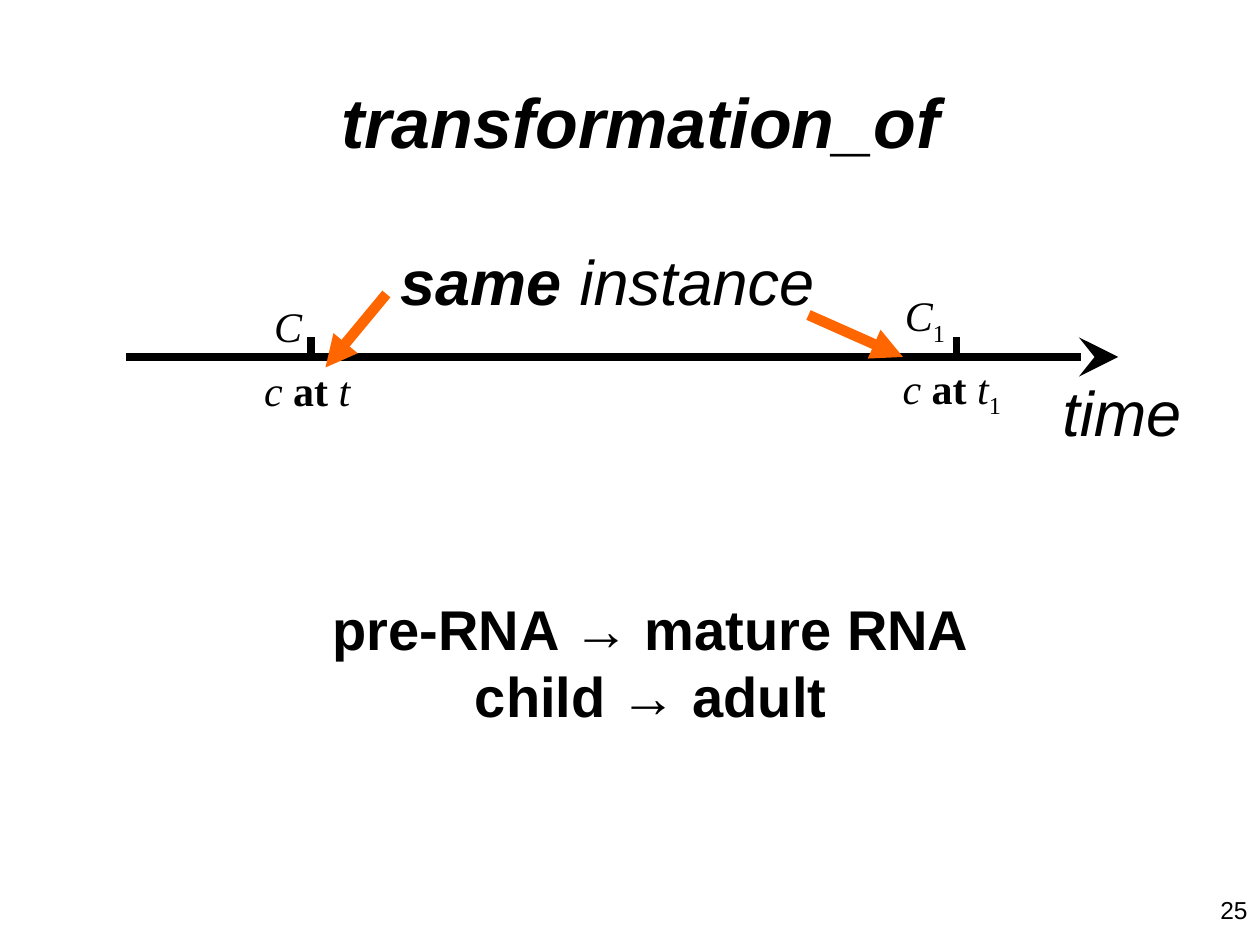
from lxml.etree import SubElement
from pptx import Presentation
from pptx.dml.color import RGBColor
from pptx.enum.shapes import MSO_CONNECTOR
from pptx.enum.text import MSO_ANCHOR, PP_ALIGN
from pptx.oxml.ns import qn
from pptx.util import Inches, Pt

BLACK = RGBColor(0x00, 0x00, 0x00)
ORANGE = RGBColor(0xFF, 0x66, 0x00)
SANS = "Arial"
SERIF = "Times New Roman"
COLUMNS, ROWS = 120, 90
AXIS_ROW = 34


def grid(cells):
    return Inches(cells / 12)


def add_text(page, place, paragraphs, font=SANS, size=24, align=PP_ALIGN.LEFT,
             anchor=MSO_ANCHOR.TOP, inset=(0.1, 0.05), after=0, first_indent=0):
    box = page.shapes.add_textbox(*map(grid, place))
    frame = box.text_frame
    frame.word_wrap = True
    frame.vertical_anchor = anchor
    frame.margin_left = frame.margin_right = Inches(inset[0])
    frame.margin_top = frame.margin_bottom = Inches(inset[1])
    for index, spans in enumerate(paragraphs):
        para = frame.add_paragraph() if index else frame.paragraphs[0]
        para.alignment = align
        para.space_after = Pt(after)
        if index == 0 and first_indent:
            para._p.get_or_add_pPr().set("indent", str(Inches(first_indent)))
        for text, style in spans:
            if text == "\n":
                para.add_line_break()
                continue
            span = para.add_run()
            span.text = text
            span.font.name = font
            span.font.size = Pt(size)
            span.font.color.rgb = BLACK
            span.font.bold = "b" in style
            span.font.italic = "i" in style
            if "s" in style:
                span.font._element.set("baseline", "-25000")
    return box


def add_line(page, start, end, color=BLACK, width=4.5, arrow=None, arrow_size="med"):
    line = page.shapes.add_connector(
        MSO_CONNECTOR.STRAIGHT, *map(grid, start), *map(grid, end))
    line.line.color.rgb = color
    line.line.width = Pt(width)
    if arrow:
        SubElement(line.line._get_or_add_ln(), qn("a:tailEnd"),
                   type=arrow, w=arrow_size, len=arrow_size)
    SubElement(line._element.spPr, qn("a:effectLst"))
    return line


def add_timeline(page):
    tight = (0.08, 0.04)
    instance = [("c ", "i"), ("at ", "b"), ("t", "i")]
    subscript = ("1", "s")
    add_text(page, (85, 34, 14.4, 6.1), [instance + [subscript]],
             font=SERIF, inset=tight)
    add_line(page, (12, AXIS_ROW), (106.5, AXIS_ROW), arrow="stealth", arrow_size="lg")
    add_text(page, (24.2, 28.1, 12.7, 13.4), [[("C", "i")], instance],
             font=SERIF, inset=tight, after=8, first_indent=0.08)
    for column in (29.6, 91.1):
        add_line(page, (column, AXIS_ROW - 1.9), (column, AXIS_ROW))
    add_text(page, (85, 27, 15, 6.7), [[("C", "i"), subscript]], font=SERIF)
    add_text(page, (100, 35, 29, 8.4), [[("time", "i")]], size=36)


def add_same_instance(page):
    add_text(page, (37, 22.5, 46, 8.4), [[("same ", "bi"), ("instance", "i")]], size=36)
    for start, end in (((77, 30), (86, AXIS_ROW)), ((36.8, 28), (31, 35))):
        add_line(page, start, end, color=ORANGE, width=6, arrow="triangle")


def main():
    deck = Presentation()
    deck.slide_width, deck.slide_height = grid(COLUMNS), grid(ROWS)
    page = deck.slides.add_slide(deck.slide_layouts[6])
    add_text(page, (7, 4, 108, 15), [[("transformation_of", "bi")]],
             size=40, align=PP_ALIGN.CENTER, anchor=MSO_ANCHOR.MIDDLE)
    add_timeline(page)
    add_same_instance(page)
    examples = [("pre-RNA → mature RNA", "b"), ("\n", ""), ("child → adult", "b")]
    add_text(page, (29, 56, 66, 14), [examples], size=32, align=PP_ALIGN.CENTER)
    add_text(page, (92, 84.7, 28, 6.2), [[("25", "")]], size=14, align=PP_ALIGN.RIGHT)
    deck.save("out.pptx")


if __name__ == "__main__":
    main()
